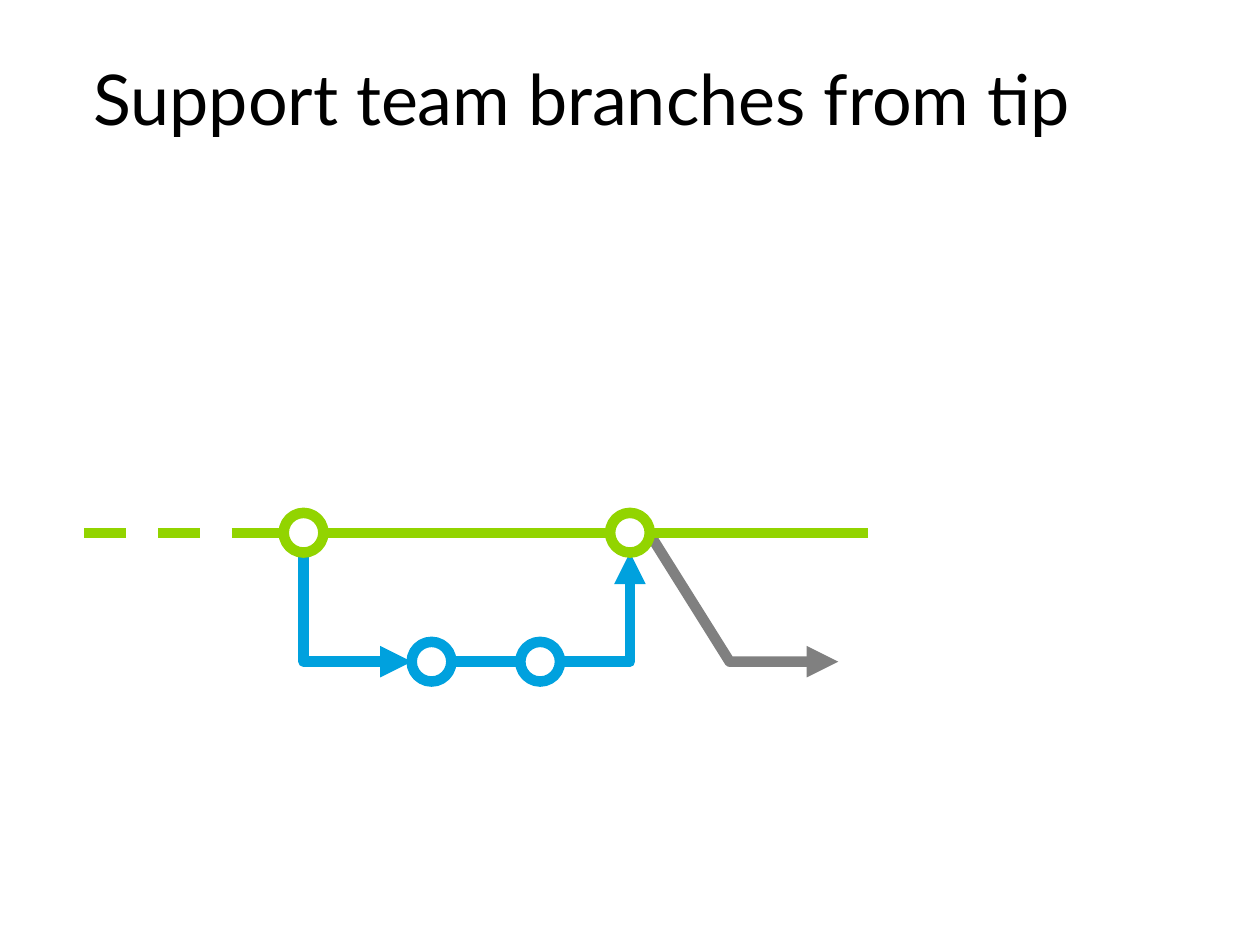
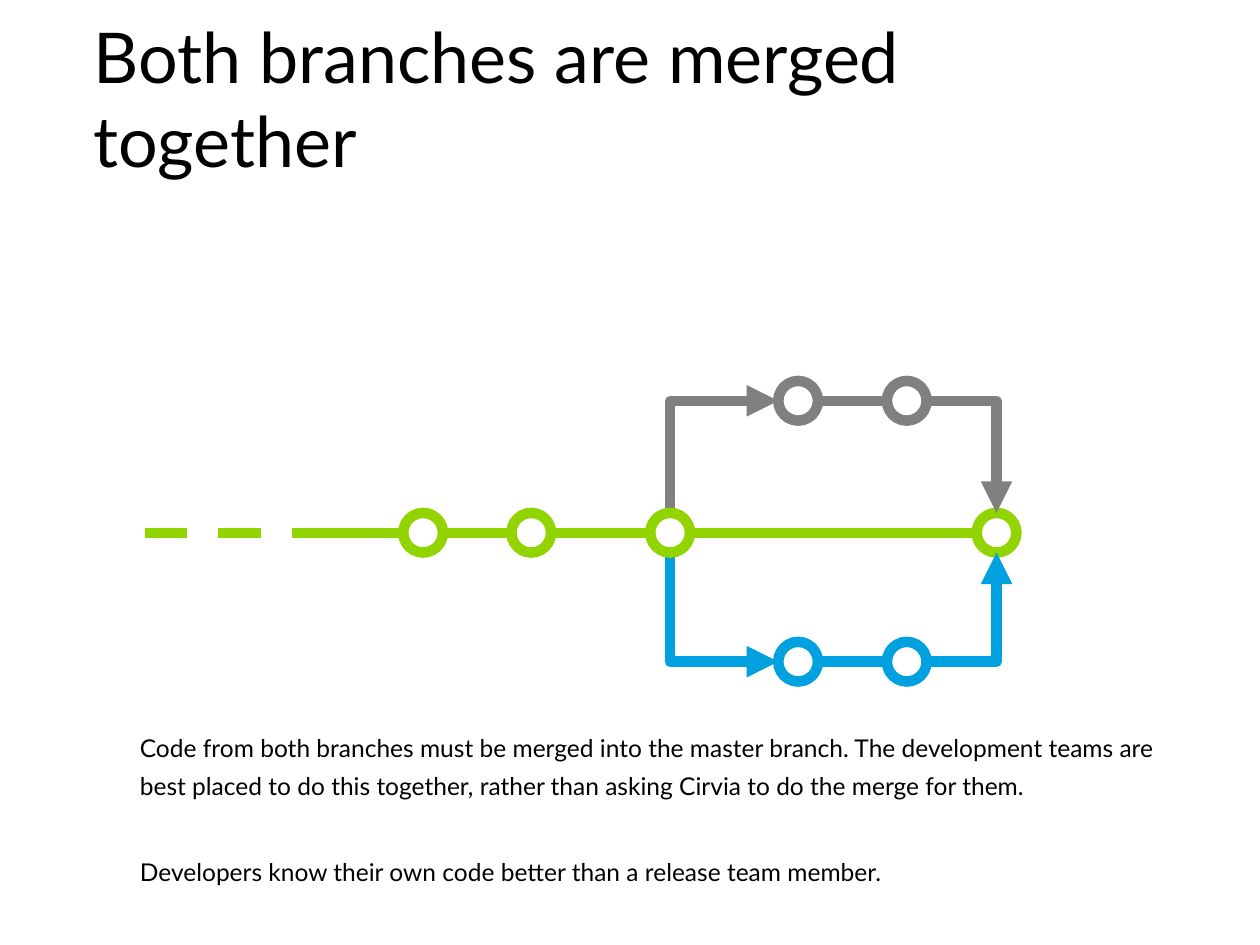
"""Build two slides that show how branches fork from and merge into a main line."""
from lxml import etree
from pptx import Presentation
from pptx import util as u
from pptx.dml.color import RGBColor
from pptx.enum import dml, shapes, text
from pptx.oxml.ns import qn

GREEN = RGBColor(0x92, 0xD4, 0x00)
BLUE = RGBColor(0x00, 0xA1, 0xDE)
GREY = RGBColor(0x80, 0x80, 0x80)
BLACK = RGBColor(0, 0, 0)
WHITE = RGBColor(0xFF, 0xFF, 0xFF)

TITLES = ["Support team branches from tip", "Both branches are merged together"]
NOTES = [
    "Code from both branches must be merged into the master branch. "
    "The development teams are best placed to do this together, "
    "rather than asking Cirvia to do the merge for them.",
    "Developers know their own code better than a release team member.",
]

TOP, MID, LOW = 8.08, 10.74, 13.34
RAD = 0.4
FIRST, LAST, JOIN = 2.58, 4.77, 6.58
FORKS = [6.12, 13.51]
TRUNKS = [(1.7, 4.9, 17.5), (2.92, 6.32, 20.1)]
EARLY = [8.53, 10.71]
SPUR = [(13.1, 10.77), (14.71, LOW), (16.9, LOW)]


def put(frame, lines, size=14, anchor=text.MSO_ANCHOR.TOP, space=1.0, gaps=()):
    """Write paragraphs into a text frame."""
    frame.word_wrap = True
    frame.auto_size = text.MSO_AUTO_SIZE.NONE
    frame.vertical_anchor = anchor
    for i, line in enumerate(lines):
        para = frame.paragraphs[0] if i == 0 else frame.add_paragraph()
        para.alignment = text.PP_ALIGN.LEFT
        para.line_spacing = space
        if gaps:
            para.space_before = u.Pt(gaps[i])
        run = para.add_run()
        run.text = line
        run.font.name, run.font.size = "Lato", u.Pt(size)
        run.font.color.rgb = BLACK


def ink(shape, color, arrow=False):
    """Give a shape its thick line and an optional arrowhead."""
    shape.line.color.rgb = color
    shape.line.width = u.Pt(6)
    if arrow:
        line = shape.line._get_or_add_ln()
        etree.SubElement(line, qn("a:round"))
        etree.SubElement(line, qn("a:tailEnd"), type="triangle")


def rail(slide, left, right, y, color, dash=False):
    """Draw a level line."""
    line = slide.shapes.add_connector(
        shapes.MSO_CONNECTOR.STRAIGHT, u.Cm(left), u.Cm(y), u.Cm(right), u.Cm(y))
    ink(line, color)
    if dash:
        line.line.dash_style = dml.MSO_LINE.DASH
    etree.SubElement(line._element.spPr, qn("a:effectLst"))


def bend(slide, points, color):
    """Draw an open path that ends in an arrowhead."""
    spots = [(u.Cm(x), u.Cm(y)) for x, y in points]
    pen = slide.shapes.build_freeform(*spots[0])
    pen.add_line_segments(spots[1:], close=False)
    shape = pen.convert_to_shape()
    shape.shadow.inherit = False
    shape.fill.background()
    ink(shape, color, arrow=True)


def ring(slide, x, y, color):
    """Draw a commit."""
    shape = slide.shapes.add_shape(
        shapes.MSO_SHAPE.OVAL, u.Cm(x - RAD), u.Cm(y - RAD), u.Cm(2 * RAD), u.Cm(2 * RAD))
    shape.shadow.inherit = False
    shape.fill.solid()
    shape.fill.fore_color.rgb = WHITE
    ink(shape, color)


def rim(lane):
    """Return the edge of a main commit that faces a lane."""
    return MID + (RAD if lane > MID else -RAD)


def fork(slide, x, lane, color):
    """Leave the main line and add two commits."""
    bend(slide, [(x, rim(lane)), (x, lane), (x + FIRST - RAD, lane)], color)
    rail(slide, x + FIRST + RAD, x + LAST - RAD, lane, color)
    for step in (FIRST, LAST):
        ring(slide, x + step, lane, color)


def merge(slide, x, lane, color):
    """Return from a branch to the main line."""
    end = x + JOIN
    bend(slide, [(x + LAST + RAD, lane), (end, lane), (end, rim(lane))], color)


def trunk(slide, ends, stops):
    """Draw the main line and its commits."""
    start, solid, stop = ends
    rail(slide, start, solid, MID, GREEN, dash=True)
    rail(slide, solid, stop, MID, GREEN)
    for x in stops:
        ring(slide, x, MID, GREEN)


def page(deck, title):
    """Add a slide with its title."""
    slide = deck.slides.add_slide(deck.slide_layouts[5])
    head = slide.shapes.title
    head.left, head.top = u.Cm(1.63), u.Cm(0.38)
    head.width, head.height = u.Cm(22.17), u.Cm(3.18)
    put(head.text_frame, [title], size=40, anchor=text.MSO_ANCHOR.MIDDLE)
    return slide


def main():
    """Build and save the deck."""
    deck = Presentation()
    deck.slide_width, deck.slide_height = u.Cm(25.4), u.Cm(19.05)
    tip, both = [page(deck, title) for title in TITLES]

    x = FORKS[0]
    bend(tip, SPUR, GREY)
    fork(tip, x, LOW, BLUE)
    merge(tip, x, LOW, BLUE)
    trunk(tip, TRUNKS[0], [x, x + JOIN])

    x = FORKS[1]
    sides = [(TOP, GREY), (LOW, BLUE)]
    for lane, color in sides:
        fork(both, x, lane, color)
    trunk(both, TRUNKS[1], EARLY + [x, x + JOIN])
    for lane, color in sides:
        merge(both, x, lane, color)
    box = both.shapes.add_textbox(u.Cm(1.63), u.Cm(4.32), u.Cm(22.15), u.Cm(13.67))
    box.text_frame.margin_left = u.Cm(1.19)
    put(box.text_frame, NOTES, anchor=text.MSO_ANCHOR.BOTTOM, space=1.3, gaps=(3, 27))
    deck.save("out.pptx")


if __name__ == "__main__":
    main()
